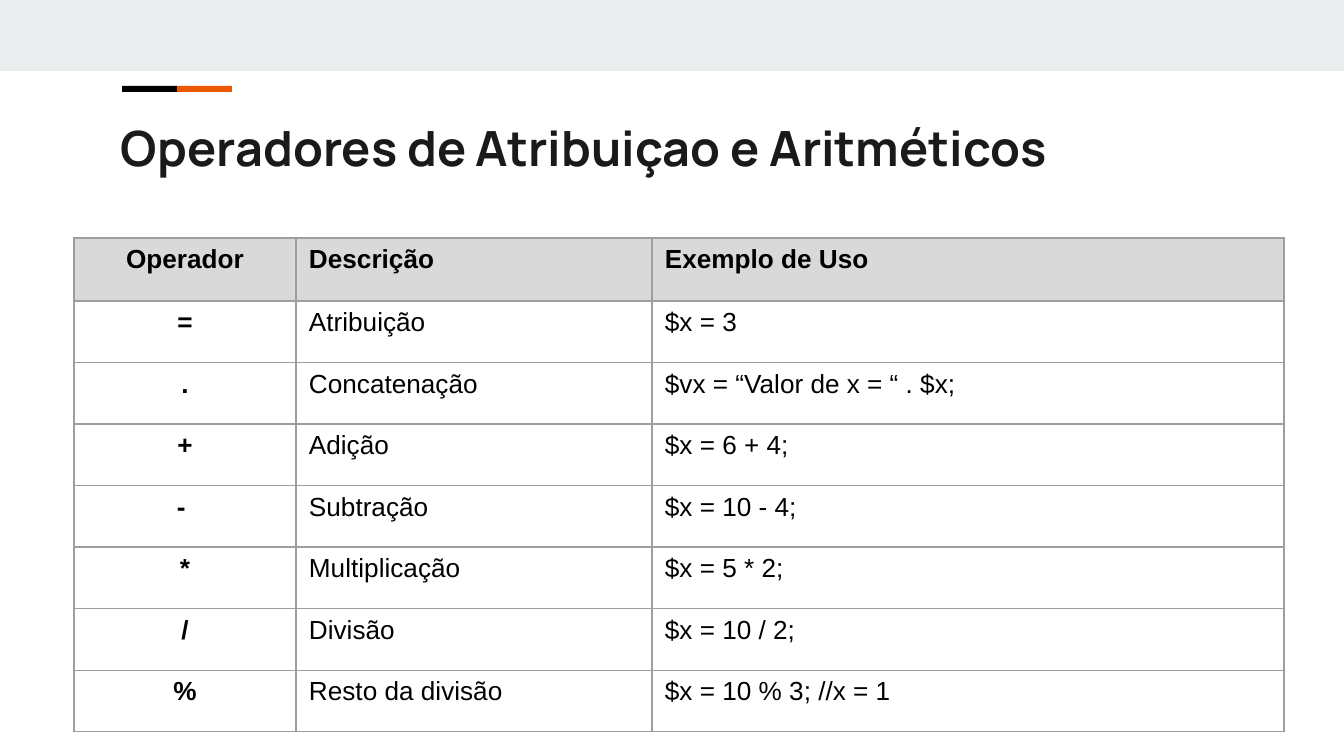
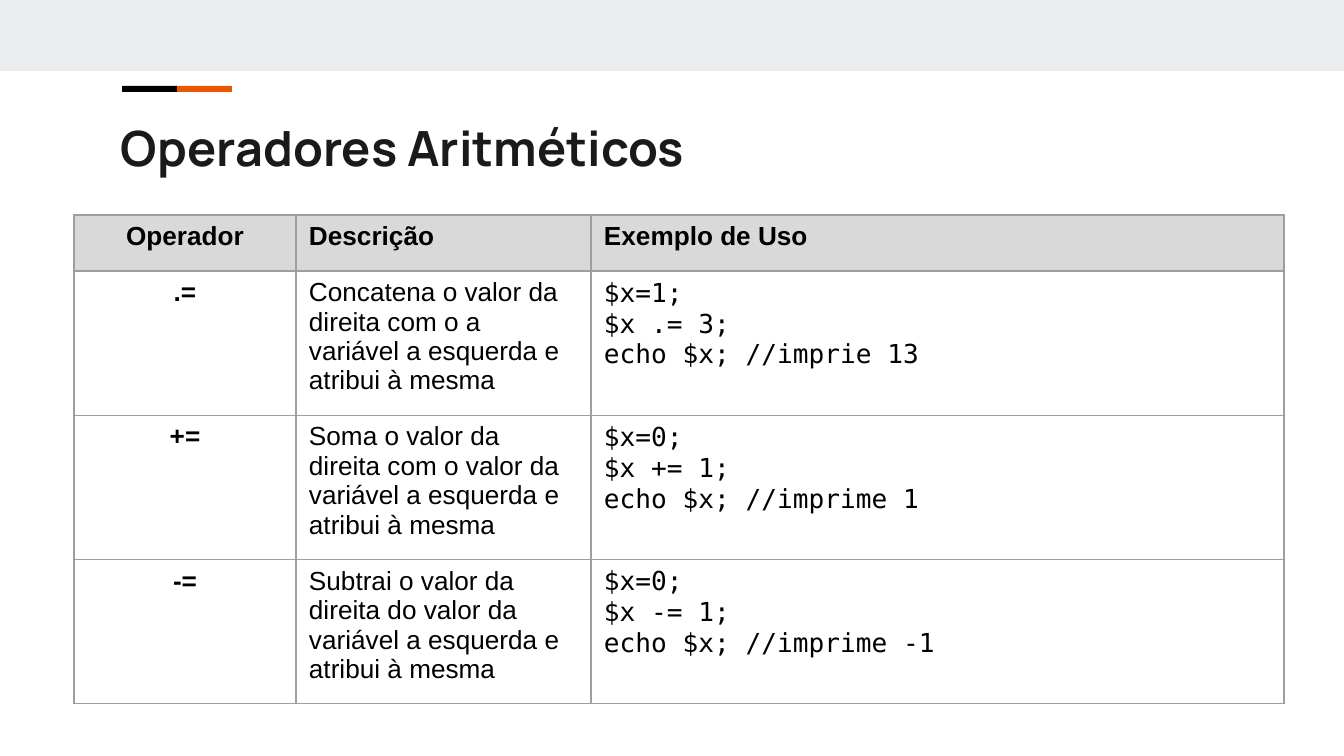
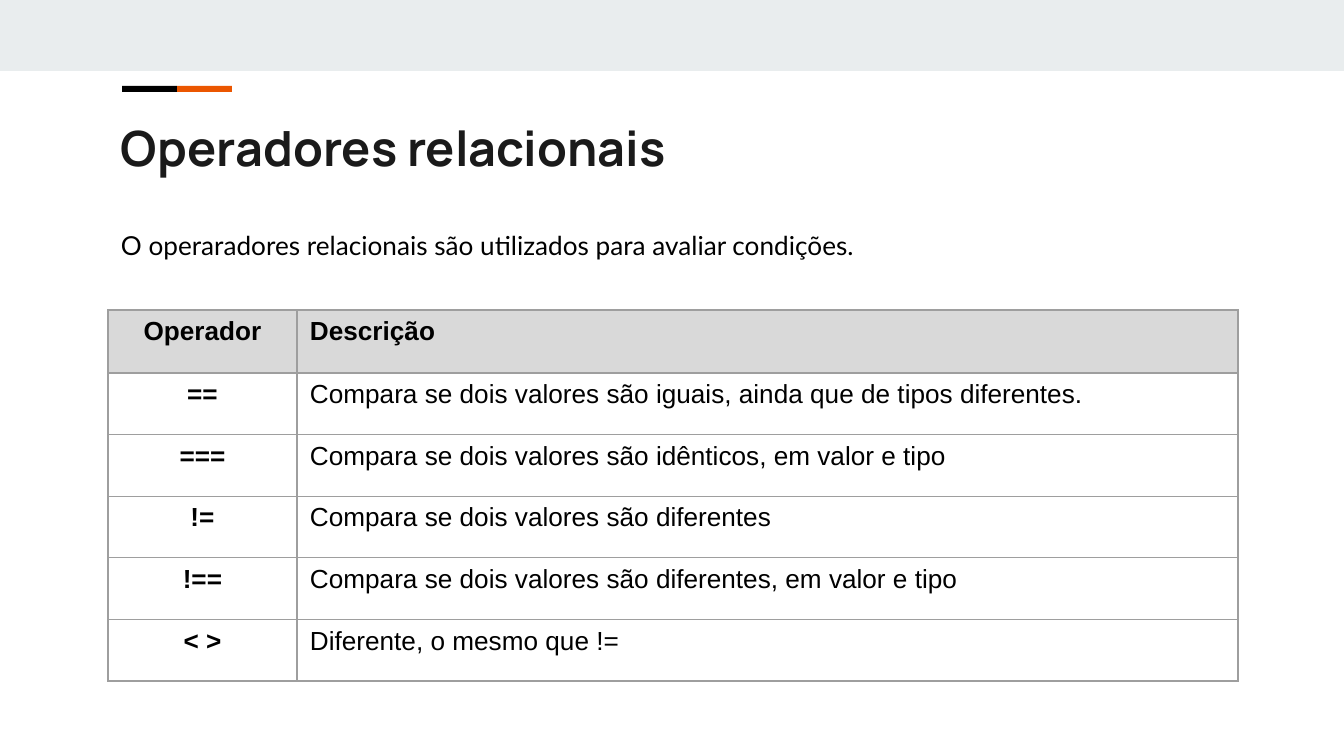
import pptx
import pptx.dml.color
import pptx.enum.shapes
import pptx.enum.text
import pptx.oxml
import pptx.oxml.ns
import pptx.util

RGBColor = pptx.dml.color.RGBColor
BAND = RGBColor(0xE9, 0xED, 0xEE)
ORANGE = RGBColor(0xEB, 0x56, 0x00)
BLACK = RGBColor(0x00, 0x00, 0x00)
TITLE_INK = RGBColor(0x1A, 0x1A, 0x1A)
HEADER_FILL = RGBColor(0xD9, 0xD9, 0xD9)
BORDER = RGBColor(0x9E, 0x9E, 0x9E)

BORDER_WIDTH = pptx.util.Pt(0.74)
SCALE = 914400 / 134.4
PAGE_WIDTH, PAGE_HEIGHT = 1344, 756
TEXT_LEFT, TEXT_WIDTH, TEXT_HEIGHT = 108, 1130, 79
INSET, CELL_INSET = 13, 7
BODY_SIZE = 14


def emu(pixels):
    return pptx.util.Emu(round(pixels * SCALE))


class Lesson:
    """Holds the shared style and the slide being built."""

    def __init__(self):
        self.deck = pptx.Presentation()
        self.deck.slide_width = emu(PAGE_WIDTH)
        self.deck.slide_height = emu(PAGE_HEIGHT)
        self.page = None

    def new_page(self, title):
        self.page = self.deck.slides.add_slide(self.deck.slide_layouts[6])
        self.bar(0, 0, PAGE_WIDTH, 71, BAND)
        self.bar(177, 86, 55, 6, ORANGE)
        self.bar(122, 86, 55, 6, BLACK)
        self.text(105, title, "Manrope", 26, TITLE_INK, bold=True)

    def bar(self, left, top, width, height, color):
        shape = self.page.shapes.add_shape(
            pptx.enum.shapes.MSO_SHAPE.RECTANGLE,
            emu(left), emu(top), emu(width), emu(height))
        shape.shadow.inherit = False
        shape.fill.solid()
        shape.fill.fore_color.rgb = color
        shape.line.fill.background()

    def text(self, top, words, font, size, color, bold=False, space_after=0):
        box = self.page.shapes.add_textbox(
            emu(TEXT_LEFT), emu(top), emu(TEXT_WIDTH), emu(TEXT_HEIGHT))
        frame = box.text_frame
        frame.word_wrap = True
        frame.margin_left = frame.margin_right = emu(INSET)
        frame.margin_top = frame.margin_bottom = emu(INSET)
        frame.text = words
        frame.paragraphs[0].space_after = pptx.util.Pt(space_after)
        self.style(frame, font, size, color, bold)

    def style(self, frame, font, size, color, bold):
        for para in frame.paragraphs:
            for span in para.runs:
                span.font.name = font
                span.font.size = pptx.util.Pt(size)
                span.font.color.rgb = color
                span.font.bold = bold

    def table(self, left, top, widths, header_height, body_height, rows,
              code_column=None):
        grid = self.page.shapes.add_table(
            len(rows), len(widths), emu(left), emu(top),
            emu(sum(widths)), emu(header_height + body_height)).table
        grid.horz_banding = False
        for column, width in zip(grid.columns, widths):
            column.width = emu(width)
        # The rows below the header share the body height equally
        for index, row in enumerate(grid.rows):
            row.height = emu(body_height / (len(rows) - 1) if index else header_height)
        for r, row in enumerate(rows):
            for c, words in enumerate(row):
                is_code = r > 0 and c == code_column
                self.cell(grid.cell(r, c), words, header=r == 0,
                          operator=c == 0,
                          font="DejaVu Sans Mono" if is_code else "Arial")

    def cell(self, cell, words, header, operator, font):
        cell.margin_left = cell.margin_right = emu(INSET)
        cell.margin_top = cell.margin_bottom = emu(CELL_INSET)
        cell.text_frame.text = words
        if operator:
            cell.text_frame.paragraphs[0].alignment = pptx.enum.text.PP_ALIGN.CENTER
        self.style(cell.text_frame, font, BODY_SIZE, BLACK, header or operator)
        if header:
            cell.fill.solid()
            cell.fill.fore_color.rgb = HEADER_FILL
        else:
            cell.fill.background()
        # Border lines come before the fill in the cell properties
        properties = cell._tc.get_or_add_tcPr()
        for index, side in enumerate("LRTB"):
            properties.insert(index, pptx.oxml.parse_xml(
                f'<a:ln{side} {pptx.oxml.ns.nsdecls("a")} w="{BORDER_WIDTH}">'
                f'<a:solidFill><a:srgbClr val="{BORDER}"/></a:solidFill>'
                f'</a:ln{side}>'))


lesson = Lesson()

# Assignment and arithmetic operators
lesson.new_page("Operadores de Atribuiçao e Aritméticos")
lesson.table(74, 238, [222, 356, 632], 63, 431, [
    ("Operador", "Descrição", "Exemplo de Uso"),
    ("=", "Atribuição", "$x = 3 "),
    (".", "Concatenação", "$vx = “Valor de x = “ . $x;"),
    ("+", "Adição", "$x = 6 + 4;"),
    ("- ", "Subtração", "$x = 10 - 4;"),
    ("*", "Multiplicação", "$x = 5 * 2;"),
    ("/", "Divisão", "$x = 10 / 2;"),
    ("%", "Resto da divisão", "$x = 10 % 3; //x = 1"),
])

# Compound assignment operators
lesson.new_page("Operadores Aritméticos")
lesson.table(74, 215, [222, 295, 693], 56, 433, [
    ("Operador", "Descrição", "Exemplo de Uso"),
    (".=", "Concatena o valor da direita com o a variável a esquerda e atribui à mesma",
     "$x=1;\n$x .= 3;\necho $x; //imprie 13"),
    ("+=", "Soma o valor da direita com o valor da variável a esquerda e atribui à mesma",
     "$x=0;\n$x += 1;\necho $x; //imprime 1"),
    ("-=", "Subtrai o valor da direita do valor da variável a esquerda e atribui à mesma",
     "$x=0;\n$x -= 1;\necho $x; //imprime -1"),
], code_column=2)

# Relational operators
lesson.new_page("Operadores relacionais")
lesson.text(216, "O operaradores relacionais são utilizados para avaliar condições.",
            "Lato", BODY_SIZE, BLACK, space_after=4)
lesson.table(108, 310, [189, 941], 63, 308, [
    ("Operador", "Descrição"),
    ("==", "Compara se dois valores são iguais, ainda que de tipos diferentes."),
    ("===", "Compara se dois valores são idênticos, em valor e tipo"),
    ("!=", "Compara se dois valores são diferentes"),
    ("!==", "Compara se dois valores são diferentes, em valor e tipo"),
    ("< >", "Diferente, o mesmo que !="),
])

lesson.deck.save("out.pptx")
